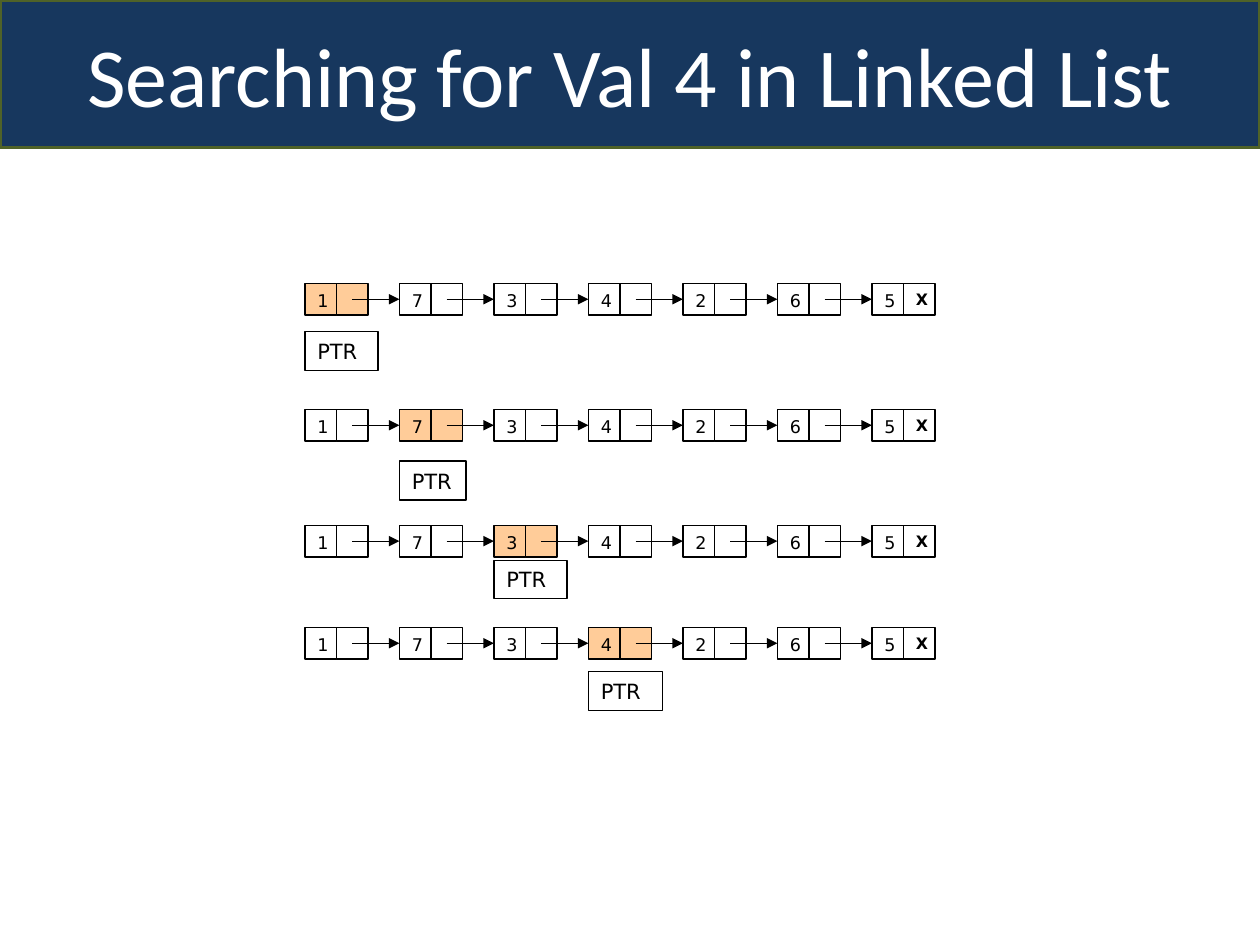
from lxml.etree import SubElement
from pptx import Presentation
from pptx.dml.color import RGBColor
from pptx.enum.shapes import MSO_CONNECTOR, MSO_SHAPE
from pptx.enum.text import MSO_ANCHOR, PP_ALIGN
from pptx.oxml.ns import qn
from pptx.util import Inches, Pt

VALUES = [1, 7, 3, 4, 2, 6, 5]
LEFT = 2.42
CELL = 0.25
NODE_STEP = 3 * CELL
# list top, then the PTR box's top, width and height
STEPS = [
    (2.25, 2.63, 0.58, 0.31),
    (3.25, 3.66, 0.53, 0.31),
    (4.17, 4.45, 0.58, 0.3),
    (4.98, 5.33, 0.59, 0.31),
]


def color(hex_text):
    return RGBColor.from_string(hex_text)


def write(sp, text, font="DejaVu Sans", size=10, ink="000000", bold=False,
          align=PP_ALIGN.LEFT, anchor=MSO_ANCHOR.TOP):
    tf = sp.text_frame
    tf.word_wrap = True
    tf.vertical_anchor = anchor
    p = tf.paragraphs[0]
    p.alignment = align
    r = p.add_run()
    r.text = text
    r.font.name = font
    r.font.size = Pt(size)
    r.font.bold = bold
    r.font.color.rgb = color(ink)


class Builder:
    line = "000000"
    plain = "FFFFFF"
    current = "FFCC99"
    weight = 0.75

    def __init__(self, slide):
        self.s = slide

    def box(self, shapes, x, y, w, h, fill=None, line=line, weight=weight,
            kind=MSO_SHAPE.RECTANGLE):
        sp = shapes.add_shape(kind, Inches(x), Inches(y), Inches(w), Inches(h))
        sp.shadow.inherit = False
        if fill:
            sp.fill.solid()
            sp.fill.fore_color.rgb = color(fill)
        else:
            sp.fill.background()
        sp.line.color.rgb = color(line)
        sp.line.width = Pt(weight)
        return sp

    def title(self, text):
        sp = self.box(self.s.shapes, 0, 0, 10, 1.17, fill="17375E",
                      line="4F6228", weight=2, kind=MSO_SHAPE.ROUNDED_RECTANGLE)
        sp.adjustments[0] = 0
        write(sp, text, font="Calibri", size=48, ink="FFFFFF",
              align=PP_ALIGN.CENTER, anchor=MSO_ANCHOR.MIDDLE)

    def arrow(self, shapes, x, y, target):
        """Draw an arrow from a point to the left side of the target cell."""
        cn = shapes.add_connector(MSO_CONNECTOR.STRAIGHT, Inches(x), Inches(y),
                                  target.left, Inches(y))
        cn.end_connect(target, 1)
        cn.line.color.rgb = color(self.line)
        cn.line.width = Pt(self.weight)
        SubElement(cn.line._get_or_add_ln(), qn("a:tailEnd"), type="triangle")
        SubElement(cn._element.spPr, qn("a:effectLst"))

    def linked_list(self, y, current):
        """Draw the whole list with the node at index current highlighted."""
        shapes = self.s.shapes.add_group_shape().shapes
        for i, value in enumerate(VALUES):
            x = LEFT + i * NODE_STEP
            fill = self.current if i == current else self.plain
            data = self.box(shapes, x, y, CELL, CELL, fill)
            write(data, str(value))
            link = self.box(shapes, x + CELL, y, CELL, CELL, fill)
            if i:
                self.arrow(shapes, x - 1.5 * CELL, y + CELL / 2, data)
        write(link, "X", size=9, bold=True)

    def pointer(self, index, y, w, h):
        sp = self.box(self.s.shapes, LEFT + index * NODE_STEP, y, w, h)
        write(sp, "PTR", size=12, anchor=MSO_ANCHOR.MIDDLE)


def main():
    prs = Presentation()
    prs.slide_width, prs.slide_height = Inches(10), Inches(7.5)
    b = Builder(prs.slides.add_slide(prs.slide_layouts[6]))
    b.title("Searching for Val 4 in Linked List")
    for i, (list_top, ptr_top, w, h) in enumerate(STEPS):
        b.linked_list(list_top, i)
        b.pointer(i, ptr_top, w, h)
    prs.save("out.pptx")


if __name__ == "__main__":
    main()
